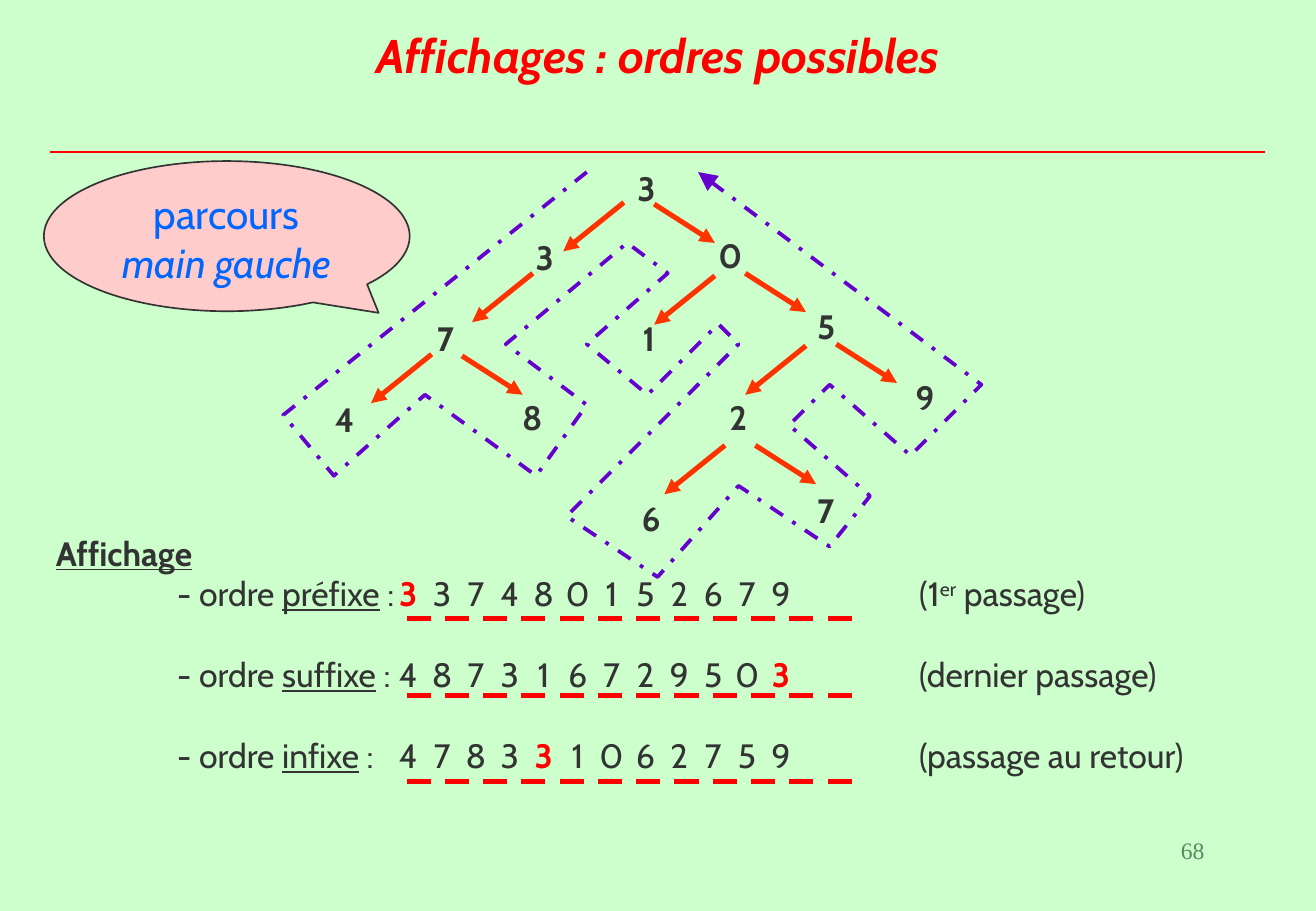
from dataclasses import dataclass

from lxml import etree
from pptx import Presentation
from pptx.dml.color import RGBColor
from pptx.enum.dml import MSO_LINE
from pptx.enum.shapes import MSO_CONNECTOR, MSO_SHAPE
from pptx.enum.text import MSO_ANCHOR, MSO_AUTO_SIZE, PP_ALIGN
from pptx.oxml.ns import qn
from pptx.util import Pt

STRAIGHT = MSO_CONNECTOR.STRAIGHT
CALLOUT = MSO_SHAPE.OVAL_CALLOUT
DASH_DOT = MSO_LINE.DASH_DOT
TOP, BOTTOM = MSO_ANCHOR.TOP, MSO_ANCHOR.BOTTOM
NO_FIT = MSO_AUTO_SIZE.NONE
LEFT, CENTER, RIGHT = PP_ALIGN.LEFT, PP_ALIGN.CENTER, PP_ALIGN.RIGHT


@dataclass(frozen=True)
class Theme:
    background: str = "CCFFCC"
    ink: str = "333333"
    red: str = "FF0000"
    branch: str = "FF3300"
    walk: str = "6600CC"
    callout: str = "FFCCCC"
    blue: str = "0066FF"
    number: str = "578963"
    font: str = "Cabin"
    number_font: str = "Times New Roman"
    title_size: int = 28
    callout_size: int = 24
    body_size: int = 20
    number_size: int = 14


THEME = Theme()

# Tree: label with left and top of its box
NODES = [
    ("3", 371, 96), ("3", 310.5, 137), ("0", 419, 135.5), ("7", 252, 184.5),
    ("1", 374, 184.5), ("5", 477.5, 177.5), ("4", 191.5, 233), ("8", 302.5, 231.5),
    ("2", 425.5, 231.5), ("9", 536, 220), ("6", 373.5, 291.5), ("7", 477.5, 287),
]
# Every branch has one of two slopes: (step, starting points)
BRANCHES = [
    ((-36, 29), [(370, 120), (316, 162), (256, 210), (424, 163.5), (478, 205), (430, 264)]),
    ((36, 23), [(388, 121), (442, 162), (496, 204), (274, 211), (448, 264)]),
]
WALK = [
    (348, 102), (168, 246), (198, 282), (252, 234), (318, 282), (348, 240),
    (300, 204), (372, 144), (396, 162), (348, 204), (384, 234), (426, 192),
    (438, 204), (336, 306), (390, 342), (438, 288), (492, 324), (516, 294),
    (468, 252), (492, 228), (540, 270), (582, 228), (414, 102),
]
# Order name, digits, place of the root, and remark
ORDERS = [
    ("préfixe", "337480152679", 0, [("\t(1", {}), ("er", {"raised": True}), (" passage)", {})]),
    ("suffixe", "487316729503", 11, [("\t(dernier passage)", {})]),
    ("infixe", "478331062759", 4, [("\t(passage au retour)", {})]),
]
DASH_ROWS = (366.5, 412, 463)
DASH_LEFT, DASH_STEP, DASH_WIDTH, DASH_COUNT = 242.6, 22.7, 11.3, 12
TAB_STOPS = (
    [(72, "l")]
    + [(209 + 20.1 * column, "ctr") for column in range(12)]
    + [(512, "l")]
)


def color(value):
    return RGBColor.from_string(value)


def add_spans(para, spans, **base):
    """Write (text, format) pairs, each on top of the base format."""
    for text, changes in spans:
        values = {"name": THEME.font, "size": THEME.body_size, "bold": False,
                  "italic": False, "color": THEME.ink, **base, **changes}
        span = para.add_run()
        span.text = text
        if values.pop("raised", False):
            span._r.get_or_add_rPr().set("baseline", "30000")
        span.font.color.rgb = color(values.pop("color"))
        values["size"] = Pt(values["size"])
        for name, value in values.items():
            setattr(span.font, name, value)


def set_frame(shape, anchor=TOP, wrap=True):
    frame = shape.text_frame
    values = {"auto_size": NO_FIT, "word_wrap": wrap, "vertical_anchor": anchor,
              "margin_left": Pt(7.2), "margin_right": Pt(7.2),
              "margin_top": Pt(3.6), "margin_bottom": Pt(3.6)}
    for name, value in values.items():
        setattr(frame, name, value)
    return frame


def place(shape, left, top, width, height):
    values = {"left": left, "top": top, "width": width, "height": height}
    for name, value in values.items():
        setattr(shape, name, Pt(value))


def add_label(page, area, text, align=LEFT, wrap=True, **style):
    box = page.shapes.add_textbox(*map(Pt, area))
    para = set_frame(box, wrap=wrap).paragraphs[0]
    para.alignment = align
    add_spans(para, [(text, {})], **style)


def set_line(shape, line_color, width):
    shape.line.color.rgb = color(line_color)
    shape.line.width = Pt(width)


def add_arrowhead(shape, size="med"):
    line = shape._element.spPr.find(qn("a:ln"))
    etree.SubElement(line, qn("a:tailEnd"), type="triangle", w=size, len=size)


def add_line(page, start, end, line_color, width, cap="flat"):
    line = page.shapes.add_connector(STRAIGHT, *map(Pt, (*start, *end)))
    set_line(line, line_color, width)
    line._element.spPr.find(qn("a:ln")).set("cap", cap)
    etree.SubElement(line._element.spPr, qn("a:effectLst"))
    return line


def add_title(page):
    title = page.shapes.title
    place(title, 52.5, 16.5, 675, 36.5)
    para = set_frame(title, BOTTOM).paragraphs[0]
    para.alignment = CENTER
    add_spans(para, [("Affichages : ordres possibles", {})], bold=True,
              italic=True, size=THEME.title_size, color=THEME.red)
    add_line(page, (30, 90), (750, 90), THEME.red, 1, cap="sq")


def add_tree(page):
    for text, left, top in NODES:
        add_label(page, (left, top, 26, 32), text, wrap=False, bold=True)
    for (across, down), starts in BRANCHES:
        for x, y in starts:
            add_arrowhead(add_line(page, (x, y), (x + across, y + down), THEME.branch, 3))


def add_walk(page):
    builder = page.shapes.build_freeform(*WALK[0], scale=Pt(1))
    builder.add_line_segments(WALK[1:], close=False)
    walk = builder.convert_to_shape()
    walk.shadow.inherit = False
    walk.fill.background()
    set_line(walk, THEME.walk, 2.25)
    walk.line.dash_style = DASH_DOT
    add_arrowhead(walk, "lg")


def add_callout(page):
    callout = page.shapes.add_shape(CALLOUT, *map(Pt, (26, 95.5, 217, 89)))
    callout.adjustments[0], callout.adjustments[1] = 0.415, 0.511
    callout.shadow.inherit = False
    callout.fill.solid()
    callout.fill.fore_color.rgb = color(THEME.callout)
    set_line(callout, THEME.ink, 1)
    para = set_frame(callout).paragraphs[0]
    para.alignment = CENTER
    add_spans(para, [("parcours ", {}), ("main gauche", {"italic": True})],
              size=THEME.callout_size, color=THEME.blue)


def add_tab_stops(para):
    tabs = etree.SubElement(para._p.get_or_add_pPr(), qn("a:tabLst"))
    for position, align in TAB_STOPS:
        etree.SubElement(tabs, qn("a:tab"), pos=str(int(Pt(position))), algn=align)


def add_orders(page):
    # A text box keeps its own tab stops, free of the body's hanging indent
    box = page.shapes.add_textbox(*map(Pt, (26, 312, 718, 176)))
    frame = set_frame(box)
    add_spans(frame.paragraphs[0], [("Affichage", {})], bold=True, underline=True)
    for row, (name, digits, root, remark) in enumerate(ORDERS):
        para = frame.add_paragraph()
        para.space_before = Pt(24 if row else 0)
        add_tab_stops(para)
        add_spans(para, [("\t- ordre ", {}), (name, {"underline": True}), (" :", {})])
        for position, digit in enumerate(digits):
            style = {"bold": True, "color": THEME.red} if position == root else {}
            add_spans(para, [("\t" + digit, style)])
        add_spans(para, remark)
    # Dashes under the digits
    for y in DASH_ROWS:
        for column in range(DASH_COUNT):
            x = DASH_LEFT + column * DASH_STEP
            add_line(page, (x, y), (x + DASH_WIDTH, y), THEME.red, 3, cap="sq")


def main():
    deck = Presentation()
    deck.slide_width, deck.slide_height = Pt(780.48), Pt(540)
    page = deck.slides.add_slide(deck.slide_layouts[5])
    page.background.fill.solid()
    page.background.fill.fore_color.rgb = color(THEME.background)
    add_title(page)
    add_tree(page)
    add_orders(page)
    add_walk(page)
    add_callout(page)
    add_label(page, (558.5, 492, 163, 36), "68", align=RIGHT, name=THEME.number_font,
              size=THEME.number_size, color=THEME.number)
    deck.save("out.pptx")


if __name__ == "__main__":
    main()
